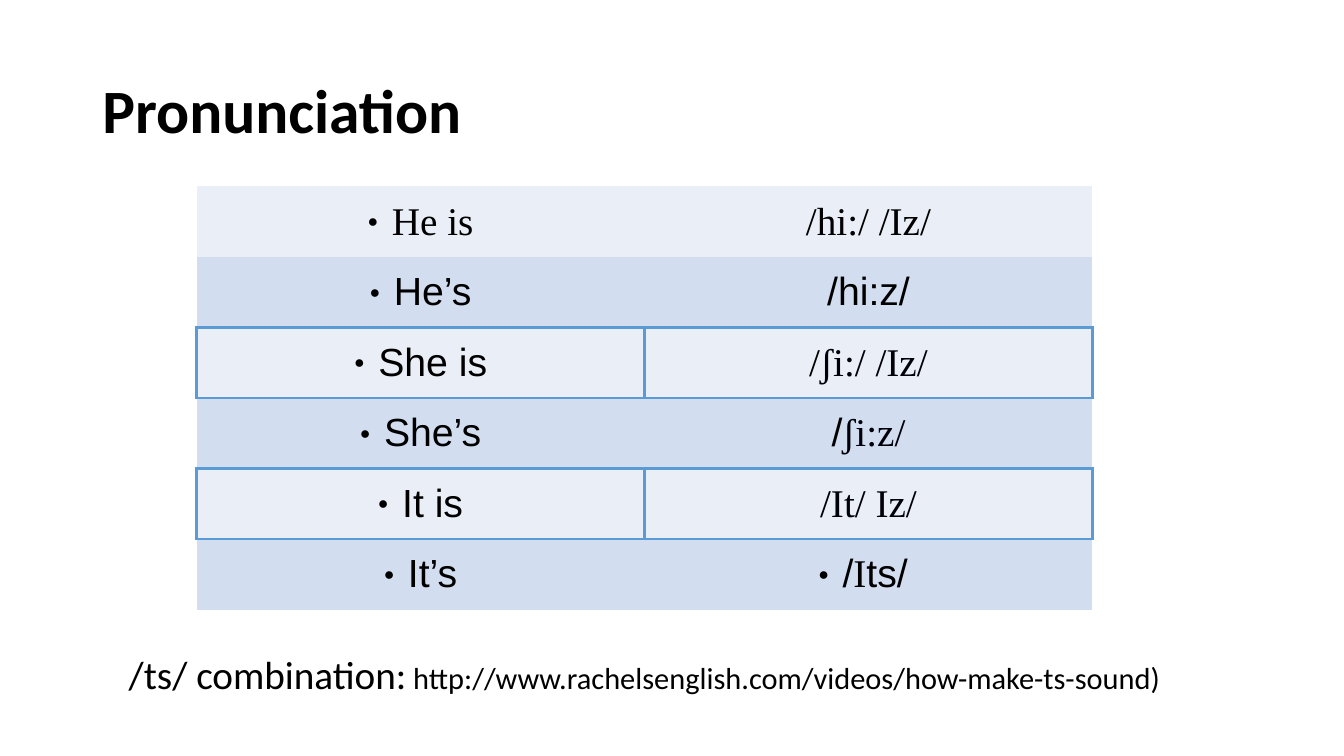
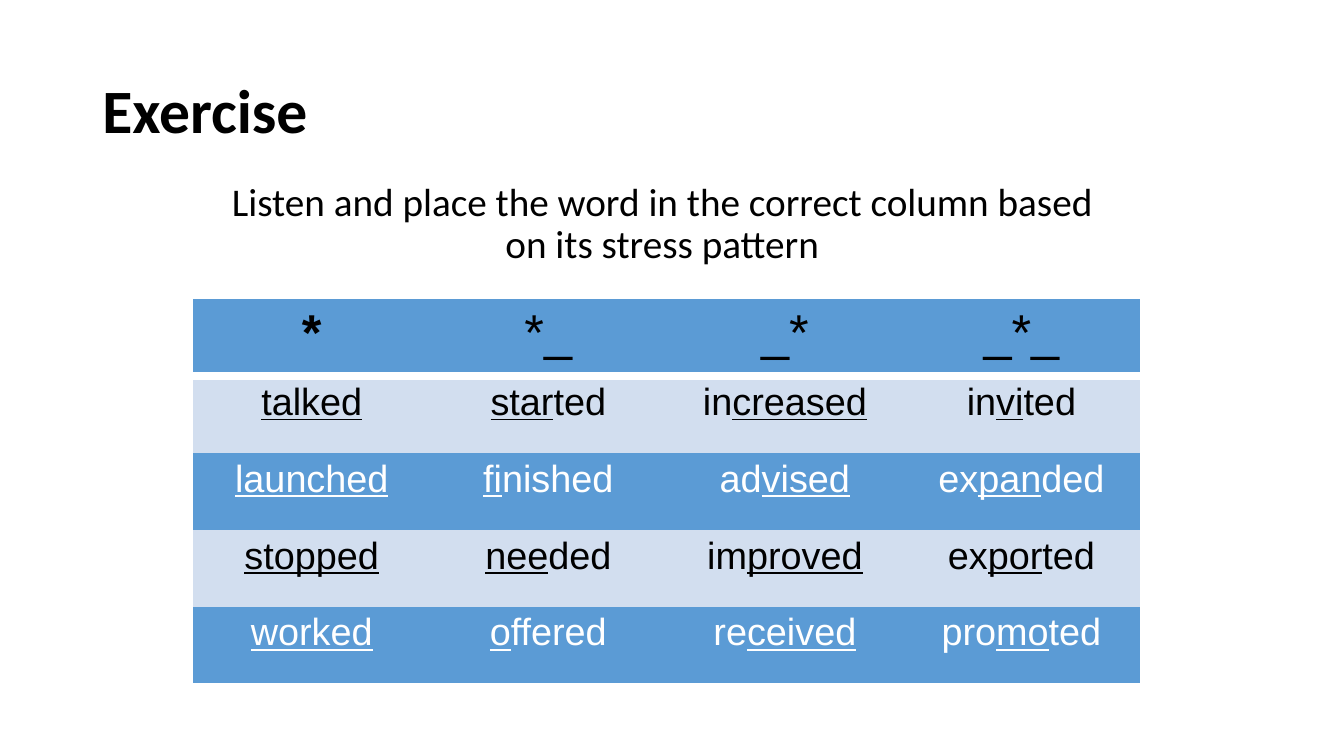
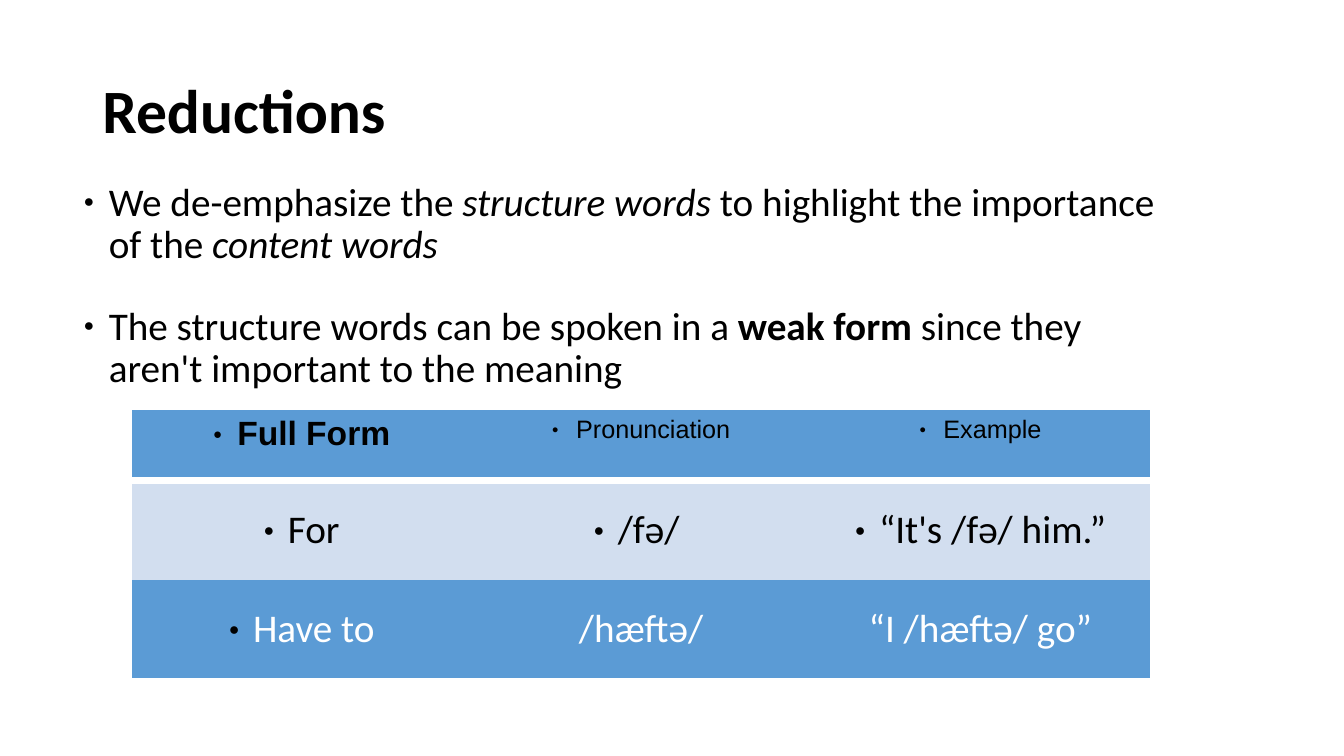
from lxml.etree import SubElement
from pptx import Presentation
from pptx.dml.color import RGBColor
from pptx.enum.text import MSO_ANCHOR as Anchor, PP_ALIGN as Align
from pptx.oxml.ns import qn
from pptx.util import Pt

BLACK = RGBColor(0x00, 0x00, 0x00)
INK = RGBColor(0x00, 0x00, 0x0A)
WHITE = RGBColor(0xFF, 0xFF, 0xFF)
BLUE = RGBColor(0x5B, 0x9B, 0xD5)
LIGHT_BLUE = RGBColor(0xD2, 0xDE, 0xEF)
PALE_BLUE = RGBColor(0xEA, 0xEF, 0xF7)

SANS = "Calibri"
ARIAL = "Arial"
SERIF = "Times New Roman"
PLAIN_TABLE_STYLE = "{2D5ABB26-0587-4C30-8999-92F81FD0307C}"
CELL_INDENT = 17.3
BODY_INDENT = 18


def write_text(paragraph, text, size=28, font=SANS, color=BLACK,
               bold=False, italic=False, underline=False):
    run = paragraph.add_run()
    run.text = text
    run.font.size = Pt(size)
    run.font.name = font
    run.font.color.rgb = color
    run.font.bold = bold
    run.font.italic = italic
    run.font.underline = underline


def add_bullet(paragraph, indent):
    properties = paragraph._p.get_or_add_pPr()
    properties.set("marL", str(Pt(indent)))
    properties.set("indent", str(-Pt(indent)))
    color = SubElement(properties, qn("a:buClr"))
    SubElement(color, qn("a:srgbClr"), val=str(BLACK))
    SubElement(properties, qn("a:buSzPct"), val="45000")
    SubElement(properties, qn("a:buFont"), typeface=ARIAL)
    SubElement(properties, qn("a:buChar"), char="●")


def add_text_box(slide, box, anchor=Anchor.TOP):
    frame = slide.shapes.add_textbox(*map(Pt, box)).text_frame
    frame.word_wrap = True
    frame.vertical_anchor = anchor
    return frame


def start_paragraph(paragraph, align=Align.LEFT, bullet=False):
    if bullet:
        add_bullet(paragraph, BODY_INDENT)
    paragraph.alignment = align
    paragraph.line_spacing = 0.9
    return paragraph


def add_titled_slide(presentation, title):
    slide = presentation.slides.add_slide(presentation.slide_layouts[6])
    frame = add_text_box(slide, (66, 28.8, 828, 104.4), Anchor.MIDDLE)
    write_text(start_paragraph(frame.paragraphs[0]), title, size=44, bold=True)
    return slide


def add_plain_table(slide, box, rows, columns):
    table = slide.shapes.add_table(rows, columns, *map(Pt, box)).table
    table.first_row = False
    table.horz_banding = False
    table._tbl.tblPr.find(qn("a:tableStyleId")).text = PLAIN_TABLE_STYLE
    return table


def set_borders(cell, sides, color, width):
    properties = cell._tc.get_or_add_tcPr()
    for side in sides:
        line = SubElement(properties, qn(f"a:ln{side}"), w=str(Pt(width)))
        fill = SubElement(line, qn("a:solidFill"))
        SubElement(fill, qn("a:srgbClr"), val=str(color))


def start_cell(cell, fill, anchor=Anchor.MIDDLE, bullet=False):
    cell.fill.solid()
    cell.fill.fore_color.rgb = fill
    cell.vertical_anchor = anchor
    paragraph = cell.text_frame.paragraphs[0]
    if bullet:
        add_bullet(paragraph, CELL_INDENT)
    paragraph.alignment = Align.CENTER
    return paragraph


def add_contraction_table(slide, box):
    rows = [
        ("He is", SERIF, [("/hi:/ /Iz/", SERIF, BLACK)]),
        ("He’s", ARIAL, [("/hi:z/", ARIAL, BLACK)]),
        ("She is", ARIAL, [("/", SERIF, BLACK), ("ʃi:/ /Iz/", SERIF, INK)]),
        ("She’s", ARIAL, [("/", ARIAL, BLACK), ("ʃi:z/", SERIF, INK)]),
        ("It is", ARIAL, [("/It/ Iz/", SERIF, INK)]),
        ("It’s", ARIAL, [("/", ARIAL, BLACK), ("I", SERIF, BLACK), ("ts/ ", ARIAL, BLACK)]),
    ]
    table = add_plain_table(slide, box, len(rows), 2)
    for index, (phrase, phrase_font, sounds) in enumerate(rows):
        fill = LIGHT_BLUE if index % 2 else PALE_BLUE
        for column, runs in enumerate(([(phrase, phrase_font, BLACK)], sounds)):
            cell = table.cell(index, column)
            if index in (2, 4):
                set_borders(cell, "LRTB", BLUE, 2)
            bullet = column == 0 or phrase == "It’s"
            paragraph = start_cell(cell, fill, bullet=bullet)
            for text, font, color in runs:
                write_text(paragraph, text, font=font, color=color)


def add_stress_table(slide, box):
    patterns = ["*", "*_", "_*", "_*_"]
    words = [
        [("", "talked", ""), ("", "star", "ted"), ("in", "creased", ""), ("in", "vi", "ted")],
        [("", "launched", ""), ("", "fi", "nished"), ("ad", "vised", ""), ("ex", "pan", "ded")],
        [("", "stopped", ""), ("", "nee", "ded"), ("im", "proved", ""), ("ex", "por", "ted")],
        [("", "worked", ""), ("", "o", "ffered"), ("re", "ceived", ""), ("pro", "mo", "ted")],
    ]
    table = add_plain_table(slide, box, len(words) + 1, len(patterns))
    for column, pattern in enumerate(patterns):
        cell = table.cell(0, column)
        set_borders(cell, "B", WHITE, 6)
        paragraph = start_cell(cell, BLUE, Anchor.TOP)
        write_text(paragraph, pattern, size=36, font=ARIAL, bold=column == 0)
    for index, row in enumerate(words, 1):
        fill, color = (LIGHT_BLUE, BLACK) if index % 2 else (BLUE, WHITE)
        for column, syllables in enumerate(row):
            paragraph = start_cell(table.cell(index, column), fill, Anchor.TOP)
            for part, text in enumerate(syllables):
                if text:
                    write_text(paragraph, text, size=27, font=ARIAL, color=color,
                               underline=part == 1)


def add_reduction_table(slide, box):
    headings = [("Full Form", 24), ("Pronunciation", 18), ("Example", 18)]
    examples = [("For", "/fə/ ", "“It's /fə/ him.”"), ("Have to", "/hæftə/", "“I /hæftə/ go”")]
    table = add_plain_table(slide, box, 3, 3)
    for row, height in zip(table.rows, (50.4, 70.6, 70.6)):
        row.height = Pt(height)
    for column, (heading, size) in enumerate(headings):
        cell = table.cell(0, column)
        set_borders(cell, "B", WHITE, 6)
        paragraph = start_cell(cell, BLUE, Anchor.TOP, bullet=True)
        write_text(paragraph, heading, size=size, font=ARIAL, bold=column == 0)
    for index, row in enumerate(examples, 1):
        fill, color = (LIGHT_BLUE, BLACK) if index == 1 else (BLUE, WHITE)
        for column, text in enumerate(row):
            bullet = index == 1 or column == 0
            paragraph = start_cell(table.cell(index, column), fill, bullet=bullet)
            write_text(paragraph, text, color=color)


def build_pronunciation(presentation):
    slide = add_titled_slide(presentation, "Pronunciation")
    frame = add_text_box(slide, (56.9, 464.4, 807, 51.8))
    paragraph = start_paragraph(frame.paragraphs[0], Align.CENTER)
    write_text(paragraph, "/ts/ combination:")
    write_text(paragraph, " http://www.rachelsenglish.com/videos/how-make-ts-sound)", size=21.7)
    add_contraction_table(slide, (140.4, 133.2, 640, 302.4))


def build_exercise(presentation):
    slide = add_titled_slide(presentation, "Exercise")
    frame = add_text_box(slide, (156.2, 126.7, 633.6, 80))
    paragraph = start_paragraph(frame.paragraphs[0], Align.CENTER)
    write_text(paragraph, "Listen and place the word in the correct column based "
                          "on its stress pattern")
    add_stress_table(slide, (138.2, 213.8, 676, 274.5))


def build_reductions(presentation):
    slide = add_titled_slide(presentation, "Reductions")
    frame = add_text_box(slide, (52.6, 126.7, 782, 165))
    emphasis = start_paragraph(frame.paragraphs[0], bullet=True)
    write_text(emphasis, "We de-emphasize the ")
    write_text(emphasis, "structure words", italic=True)
    write_text(emphasis, " to highlight the importance of the ")
    write_text(emphasis, "content words", italic=True)
    weak_form = start_paragraph(frame.add_paragraph(), bullet=True)
    weak_form.space_before = Pt(28)
    write_text(weak_form, "The structure words can be spoken in a ")
    write_text(weak_form, "weak form ", bold=True)
    write_text(weak_form, "since they aren't important to the meaning")
    add_reduction_table(slide, (94.3, 293, 727.2, 191.6))


def main():
    presentation = Presentation()
    presentation.slide_width = Pt(960)
    presentation.slide_height = Pt(540)
    build_pronunciation(presentation)
    build_exercise(presentation)
    build_reductions(presentation)
    presentation.save("out.pptx")


if __name__ == "__main__":
    main()
